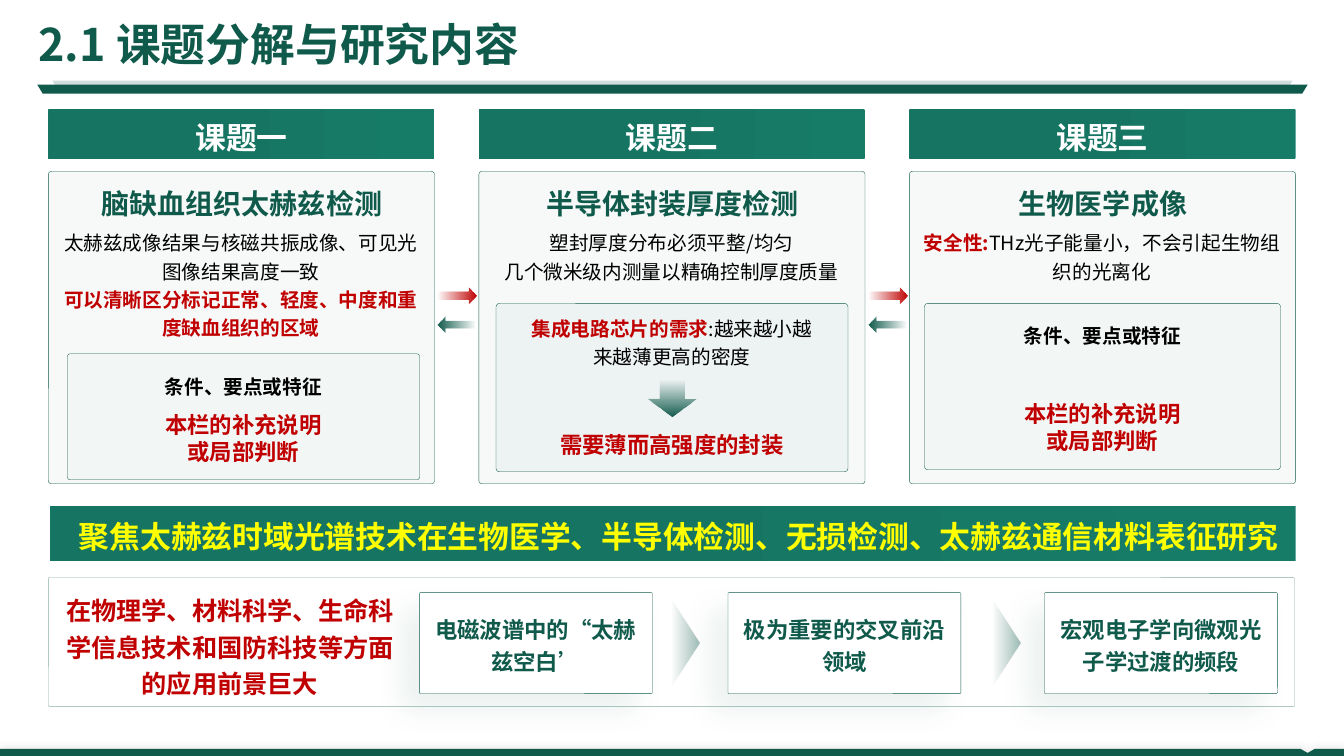
from pptx import Presentation
from pptx.dml.color import RGBColor
from pptx.enum.shapes import MSO_SHAPE
from pptx.enum.text import MSO_ANCHOR, MSO_AUTO_SIZE, PP_ALIGN
from pptx.oxml import parse_xml
from pptx.oxml.ns import qn
from pptx.util import Emu, Pt
from lxml import etree

EMU_PER_PX = 9144
FONT = "Noto Sans CJK SC"
NS = 'xmlns:a="http://schemas.openxmlformats.org/drawingml/2006/main"'
GREEN = RGBColor(0x10, 0x5A, 0x4B)
BAND_LIGHT = RGBColor(0x16, 0x7C, 0x68)
BAND_DARK = RGBColor(0x15, 0x75, 0x62)
PALE = RGBColor(0xF2, 0xF6, 0xF5)
RED = RGBColor(0xC0, 0x00, 0x00)
YELLOW = RGBColor(0xFF, 0xFF, 0x00)
WHITE = RGBColor(0xFF, 0xFF, 0xFF)
BLACK = RGBColor(0x00, 0x00, 0x00)

RECT, ROUND = MSO_SHAPE.RECTANGLE, MSO_SHAPE.ROUNDED_RECTANGLE
DOWN, RIGHT, LEFT = MSO_SHAPE.DOWN_ARROW, MSO_SHAPE.RIGHT_ARROW, MSO_SHAPE.LEFT_ARROW
TRIANGLE, TRAPEZOID = MSO_SHAPE.ISOSCELES_TRIANGLE, MSO_SHAPE.TRAPEZOID
CENTER, START = PP_ALIGN.CENTER, PP_ALIGN.LEFT
TOP, MIDDLE = MSO_ANCHOR.TOP, MSO_ANCHOR.MIDDLE
GROW, FIXED = MSO_AUTO_SIZE.SHAPE_TO_FIT_TEXT, MSO_AUTO_SIZE.NONE

# A gradient is (stops, clockwise angle); a stop is (percent, colour, opacity)
BAND = ([(0, BAND_LIGHT, 100), (57, BAND_DARK, 100)], 180)
GREEN_FADE = [(0, GREEN, 0), (100, GREEN, 100)]
RED_FADE = [(0, RED, 0), (100, RED, 100)]
TIP_FADE = ([(0, GREEN, 40), (87, GREEN, 0)], 90)

COLUMN_W, COLUMN_PITCH, COLUMN_LEFT = 383, 427, 48
COLUMNS = [
    ("课题一", "脑缺血组织太赫兹检测",
     [[("太赫兹成像结果与核磁共振成像、可见光图像结果高度一致", BLACK, False)],
      [("可以清晰区分标记正常、轻度、中度和重度缺血组织的区域", RED, True)]]),
    ("课题二", "半导体封装厚度检测",
     [[("塑封厚度分布必须平整/均匀", BLACK, False)],
      [("几个微米级内测量以精确控制厚度质量", BLACK, False)]]),
    ("课题三", "生物医学成像",
     [[("安全性:", RED, True), ("THz光子能量小，不会引起生物组织的光离化", BLACK, False)]]),
]
STEPS = [(416, "电磁波谱中的“太赫兹空白’"), (722, "极为重要的交叉前沿领域"),
         (1036, "宏观电子学向微观光子学过渡的频段")]


def px(*lengths):
    return [Emu(round(length * EMU_PER_PX)) for length in lengths]


def set_alpha(fill_parent, percent):
    color = next(fill_parent.iter(qn("a:srgbClr")))
    etree.SubElement(color, qn("a:alpha")).set("val", str(percent * 1000))


def set_gradient(shape, stops, angle):
    shape.fill.background()
    stop_xml = "".join(
        f'<a:gs pos="{pos * 1000}"><a:srgbClr val="{color}">'
        f'<a:alpha val="{alpha * 1000}"/></a:srgbClr></a:gs>' for pos, color, alpha in stops)
    gradient = parse_xml(f'<a:gradFill {NS} rotWithShape="1"><a:gsLst>{stop_xml}</a:gsLst>'
                         f'<a:lin ang="{angle * 60000}" scaled="0"/></a:gradFill>')
    properties = shape.element.spPr
    properties.replace(properties.find(qn("a:noFill")), gradient)


def set_shadow(shape, color, alpha, blur, distance, angle):
    effects = shape.element.spPr.find(qn("a:effectLst"))
    effects.append(parse_xml(
        f'<a:outerShdw {NS} blurRad="{Pt(blur)}" dist="{Pt(distance)}" dir="{angle * 60000}" '
        f'algn="ctr" rotWithShape="0"><a:srgbClr val="{color}">'
        f'<a:alpha val="{alpha * 1000}"/></a:srgbClr></a:outerShdw>'))


def add_shape(slide, kind, box, fill=None, alpha=100, gradient=None, line=None,
              line_alpha=100, corner=None):
    shape = slide.shapes.add_shape(kind, *px(*box))
    shape.shadow.inherit = False
    if corner is not None:
        shape.adjustments[0] = corner
    if gradient:
        set_gradient(shape, *gradient)
    elif fill is None:
        shape.fill.background()
    else:
        shape.fill.solid()
        shape.fill.fore_color.rgb = fill
        if alpha < 100:
            set_alpha(shape.element.spPr, alpha)
    if line is None:
        shape.line.fill.background()
    else:
        shape.line.color.rgb = line
        shape.line.width = Pt(0.25)
        if line_alpha < 100:
            set_alpha(shape.element.spPr.find(qn("a:ln")), line_alpha)
    return shape


def add_text(slide, box, paragraphs, size, spacing=1.2, align=CENTER, anchor=TOP,
             insets=(10, 5), wrap=True, fit=GROW):
    """Each paragraph is a list of (text, colour, bold) runs."""
    frame = slide.shapes.add_textbox(*px(*box)).text_frame
    across, down = px(*insets)
    frame_format = {"word_wrap": wrap, "auto_size": fit, "vertical_anchor": anchor,
                    "margin_left": across, "margin_right": across,
                    "margin_top": down, "margin_bottom": down}
    for name, value in frame_format.items():
        setattr(frame, name, value)
    for index, runs in enumerate(paragraphs):
        paragraph = frame.add_paragraph() if index else frame.paragraphs[0]
        paragraph.alignment = align
        paragraph.line_spacing = spacing
        for text, color, bold in runs:
            run = paragraph.add_run()
            run.text = text
            for name, value in {"name": FONT, "size": Pt(size), "bold": bold}.items():
                setattr(run.font, name, value)
            run.font.color.rgb = color
            etree.SubElement(run.font._element, qn("a:ea")).set("typeface", FONT)


def add_title(slide, left, top, width):
    rules = [(left + 15, top + 70, width - 28, GREEN, 20), (left, top + 74, width + 2, GREEN, 100)]
    for rule_left, rule_top, rule_w, color, alpha in rules:
        rule = add_shape(slide, TRAPEZOID, (rule_left, rule_top, rule_w, 9), color, alpha,
                         corner=0.61)
        rule.element.spPr.find(qn("a:xfrm")).set("flipV", "1")
    add_text(slide, (left + 1, top, width, 67), [[("2.1 课题分解与研究内容", GREEN, True)]], 32,
             spacing=1.0, align=START, anchor=MIDDLE, insets=(0, 0), wrap=False)


def add_column(slide, left, top, name, heading, body):
    add_shape(slide, ROUND, (left, top, COLUMN_W, 50), gradient=BAND, corner=0.03)
    add_text(slide, (left + 67, top, 249, 50), [[(name, WHITE, True)]], 22, 1.1, insets=(11, 6))
    add_shape(slide, ROUND, (left, top + 62, COLUMN_W, 310), GREEN, 3, line=GREEN, corner=0.01)
    add_text(slide, (left + 35, top + 65, 314, 48), [[(heading, GREEN, True)]], 20)
    add_text(slide, (left, top + 112, COLUMN_W - 1, 64), body, 14)


def add_conditions(slide, left, top, width, height, note_top):
    add_shape(slide, ROUND, (left, top, width, height), PALE, line=GREEN, corner=0.02)
    inner = {"anchor": MIDDLE, "insets": (6, 3), "fit": FIXED}
    add_text(slide, (left + 8, top + 10, width - 16, 40),
             [[("条件、要点或特征", BLACK, True)]], 14, **inner)
    note = [[(text, RED, True)] for text in ("本栏的补充说明", "或局部判断")]
    add_text(slide, (left + 10, top + note_top, width - 20, 54), note, 16, 1.0, **inner)


def add_chip_demand(slide, left, top, width, height):
    add_shape(slide, ROUND, (left, top, width, height), GREEN, 4, line=GREEN, corner=0.02)
    add_shape(slide, DOWN, (left + 150, top + 77, 49, 35), gradient=(GREEN_FADE, 90))
    add_text(slide, (left + 16, top + 4, width - 32, 64),
             [[("集成电路芯片的需求", RED, True), (":越来越小越来越薄更高的密度", BLACK, False)]], 14)
    add_text(slide, (left + 39, top + 122, 271, 37),
             [[("需要薄而高强度的封装", RED, True)]], 16, 1.0)


def add_exchange(slide, left, top):
    """Pair of opposite arrows between two columns."""
    add_shape(slide, RIGHT, (left, top, 39, 16), gradient=(RED_FADE, 0))
    add_shape(slide, LEFT, (left, top + 29, 38, 16), gradient=(GREEN_FADE, 180))


def add_focus_band(slide, left, top, width, height):
    add_shape(slide, RECT, (left, top, width, height), gradient=BAND)
    focus = "聚焦太赫兹时域光谱技术在生物医学、半导体检测、无损检测、太赫兹通信材料表征研究"
    add_text(slide, (left - 2, top + 3, width + 15, 49), [[(focus, YELLOW, True)]], 22, 1.1)


def add_prospects(slide, left, top, width, height):
    add_shape(slide, ROUND, (left, top, width, height), line=GREEN, line_alpha=50, corner=0.01)
    prospect = "在物理学、材料科学、生命科学信息技术和国防科技等方面的应用前景巨大"
    add_text(slide, (left + 2, top + 7, 356, 117), [[(prospect, RED, True)]], 18)
    for step_left, text in STEPS:
        card = add_shape(slide, ROUND, (step_left, top + 15, 231, 100), WHITE, line=GREEN,
                         corner=0.01)
        set_shadow(card, GREEN, 8, 21, 17, 135)
        add_text(slide, (step_left - 2, top + 28, 235, 72), [[(text, GREEN, True)]], 16)
    for pointer_left in (628, 946):
        pointer = add_shape(slide, TRIANGLE, (pointer_left, top + 49, 100, 32), gradient=TIP_FADE)
        pointer.rotation = 90


def add_footer(slide, top, width, height):
    notch = [(1290, top), (1297, top + 4), (1304, top), (width, top),
             (width, top + height), (0, top + height)]
    outline = slide.shapes.build_freeform(0, top, scale=EMU_PER_PX)
    outline.add_line_segments(notch, close=True)
    strip = outline.convert_to_shape()
    strip.shadow.inherit = False
    strip.fill.solid()
    strip.fill.fore_color.rgb = GREEN
    strip.line.fill.background()
    set_shadow(strip, BLACK, 14, 7.7, 0, 0)


def main():
    deck = Presentation()
    deck.slide_width, deck.slide_height = px(1333, 750)
    slide = deck.slides.add_slide(deck.slide_layouts[6])
    for index, column in enumerate(COLUMNS):
        add_column(slide, COLUMN_LEFT + index * COLUMN_PITCH, 108, *column)
    for gap in range(len(COLUMNS) - 1):
        add_exchange(slide, 434 + gap * COLUMN_PITCH, 285)
    add_conditions(slide, 67, 351, 349, 125, note_top=57)
    add_chip_demand(slide, 492, 301, 349, 167)
    add_conditions(slide, 917, 301, 353, 165, note_top=96)
    add_focus_band(slide, 50, 502, 1235, 55)
    add_prospects(slide, 48, 573, 1236, 128)
    add_title(slide, 37, 10, 1258)
    add_footer(slide, 743, 1333, 7)
    deck.save("out.pptx")


if __name__ == "__main__":
    main()
